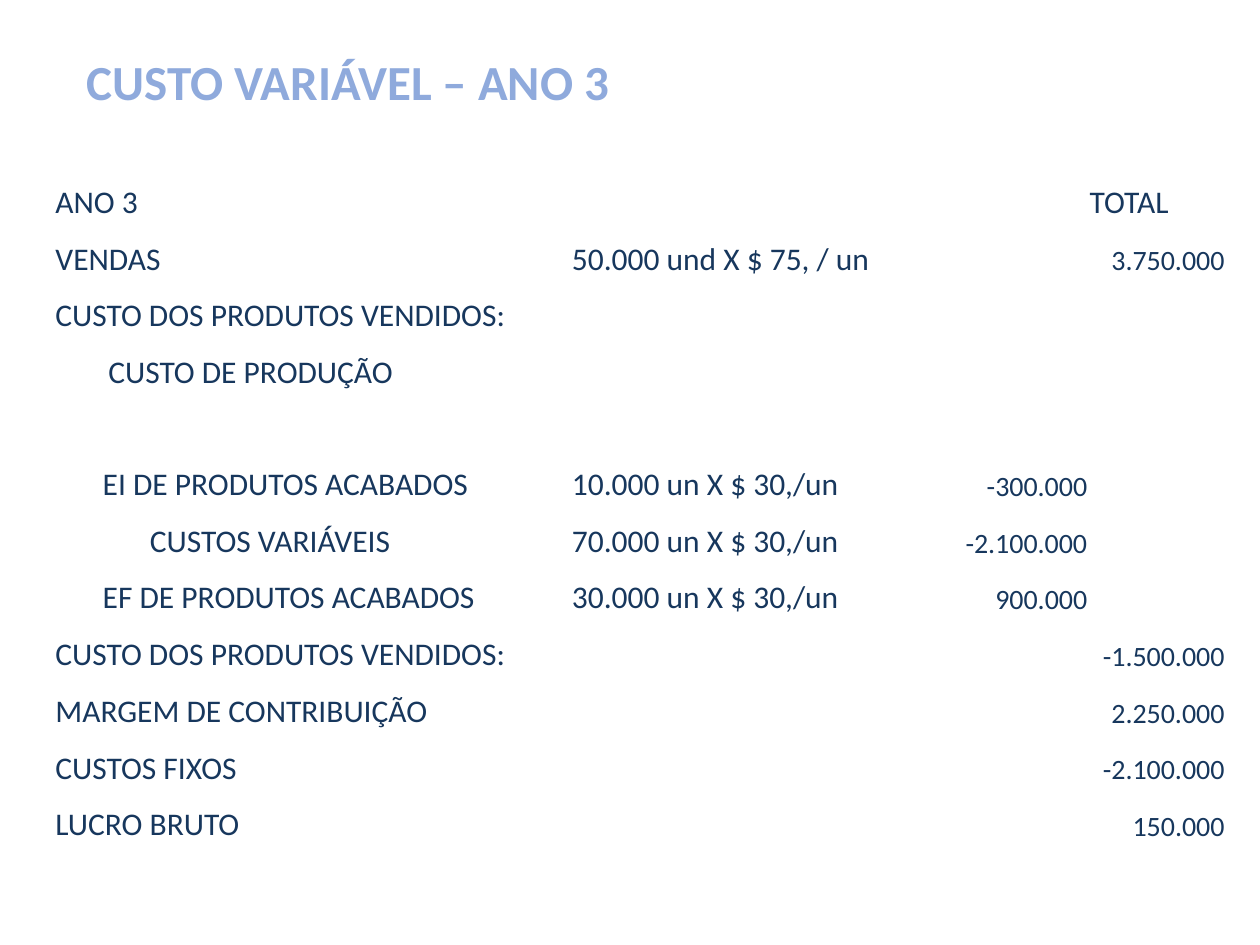
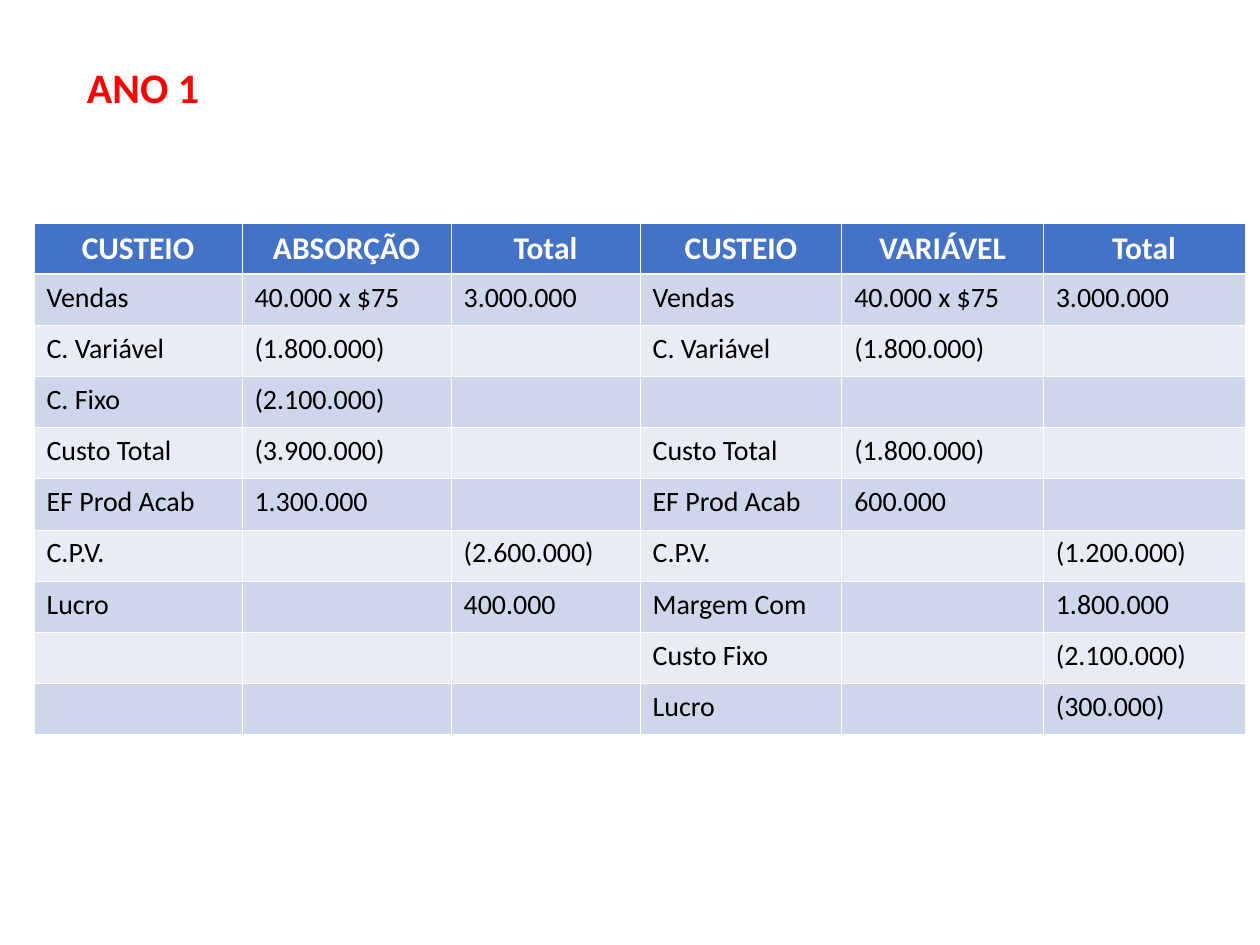
from lxml.etree import SubElement
from pptx import Presentation
from pptx.dml.color import RGBColor
from pptx.enum.text import MSO_ANCHOR as Anchor, MSO_AUTO_SIZE as Fit, PP_ALIGN as Align
from pptx.oxml.ns import qn
from pptx.util import Inches, Pt

FONT = "Calibri"
WHITE = RGBColor(0xFF, 0xFF, 0xFF)
BLACK = RGBColor(0x00, 0x00, 0x00)
NAVY = RGBColor(0x17, 0x37, 0x5D)
SKY = RGBColor(0x8F, 0xAA, 0xDC)
RED = RGBColor(0xFF, 0x00, 0x00)
BLUE = RGBColor(0x44, 0x72, 0xC4)
BANDS = RGBColor(0xCF, 0xD5, 0xEA), RGBColor(0xE9, 0xEB, 0xF5)
THIN, THICK = Pt(0.45), Pt(1.47)

# first and last label column, indent level, label, formula, partial, total
COST_COLS = 0.42, 0.47, 3.21, 2.99, 1.12, 1.09
COSTS = [
    (0, 1, 0, "ANO 3", "", "", "TOTAL"),
    (0, 1, 0, "VENDAS", "50.000 und X $ 75, / un", "", "3.750.000"),
    (0, 2, 0, "CUSTO DOS PRODUTOS VENDIDOS:", "", "", ""),
    (1, 2, 0, "CUSTO DE PRODUÇÃO", "", "", ""),
    (0, 2, 1, "EI DE PRODUTOS ACABADOS", "10.000 un X $ 30,/un", "-300.000", ""),
    (0, 2, 2, "CUSTOS VARIÁVEIS", "70.000 un X $ 30,/un", "-2.100.000", ""),
    (0, 2, 1, "EF DE PRODUTOS ACABADOS", "30.000 un X $ 30,/un", "900.000", ""),
    (0, 2, 0, "CUSTO DOS PRODUTOS VENDIDOS:", "", "", "-1.500.000"),
    (0, 2, 0, "MARGEM DE CONTRIBUIÇÃO", "", "", "2.250.000"),
    (0, 2, 0, "CUSTOS FIXOS", "", "", "-2.100.000"),
    (0, 2, 0, "LUCRO BRUTO", "", "", "150.000"),
]
COST_ROWS = [0.89 if row[3].startswith("EI ") else 0.45 for row in COSTS]

YEAR_COLS = 1.65, 1.66, 1.5, 1.6, 1.6, 1.6
YEAR = [
    ("CUSTEIO", "ABSORÇÃO", "Total", "CUSTEIO", "VARIÁVEL", "Total"),
    ("Vendas", "40.000 x $75", "3.000.000", "Vendas", "40.000 x $75", "3.000.000"),
    ("C. Variável", "(1.800.000)", "", "C. Variável", "(1.800.000)", ""),
    ("C. Fixo", "(2.100.000)", "", "", "", ""),
    ("Custo Total", "(3.900.000)", "", "Custo Total", "(1.800.000)", ""),
    ("EF Prod Acab", "1.300.000", "", "EF Prod Acab", "600.000", ""),
    ("C.P.V.", "", "(2.600.000)", "C.P.V.", "", "(1.200.000)"),
    ("Lucro", "", "400.000", "Margem Com", "", "1.800.000"),
    ("", "", "", "Custo Fixo", "", "(2.100.000)"),
    ("", "", "", "Lucro", "", "(300.000)"),
]


def put(frame, text, size=18, color=BLACK, bold=False, align=Align.LEFT, level=0):
    para = frame.paragraphs[0]
    para.alignment = align
    if level:
        para.level = level
        props = para._p.get_or_add_pPr()
        props.set("marL", str(Inches(0.375 * level)))
        props.set("indent", "0")
    if text:
        run = para.add_run()
        run.text = text
        font = run.font
        font.name, font.size, font.bold = FONT, Pt(size), bold
        font.color.rgb = color


def paint(cell, color):
    cell.fill.solid()
    cell.fill.fore_color.rgb = color


def edge(cell, **widths):
    """Draw white borders; widths are keyed by side: L, R, T, B."""
    props = cell._tc.get_or_add_tcPr()
    for spot, side in enumerate("LRTB"):
        line = SubElement(props, qn(f"a:ln{side}"), w=str(widths.get(side, THIN)))
        fill = SubElement(line, qn("a:solidFill"))
        SubElement(fill, qn("a:srgbClr"), val=str(WHITE))
        props.insert(spot, line)


def add_title(deck, text, box, size, color):
    """Add a title-only slide and set its title."""
    slide = deck.slides.add_slide(deck.slide_layouts[5])
    title = slide.shapes.title
    title.left, title.top, title.width, title.height = map(Inches, box)
    frame = title.text_frame
    frame.word_wrap = True
    frame.auto_size = Fit.NONE
    frame.vertical_anchor = Anchor.TOP
    put(frame, text, size=size, color=color, bold=True)
    return slide


def add_grid(slide, left, top, cols, rows):
    box = map(Inches, (left, top, sum(cols), sum(rows)))
    grid = slide.shapes.add_table(len(rows), len(cols), *box).table
    for col, width in zip(grid.columns, cols):
        col.width = Inches(width)
    for row, height in zip(grid.rows, rows):
        row.height = Inches(height)
    return grid


def fill_costs(slide, left, top):
    grid = add_grid(slide, left, top, COST_COLS, COST_ROWS)
    grid.first_row = grid.horz_banding = False
    for cell in grid.iter_cells():
        paint(cell, WHITE)
        edge(cell)
        cell.vertical_anchor = Anchor.BOTTOM
        cell.margin_left = cell.margin_right = Inches(0.01)
    for r, (first, last, level, label, *values) in enumerate(COSTS):
        head = grid.cell(r, first)
        head.merge(grid.cell(r, last))
        put(head.text_frame, label, color=NAVY, level=level)
        for c, value in enumerate(values, 3):
            number = r > 0 and c > 3
            put(grid.cell(r, c).text_frame, value, color=NAVY,
                size=16 if number else 18,
                align=Align.RIGHT if number else Align.LEFT)


def fill_year(slide, left, top, height):
    rows = [height / len(YEAR)] * len(YEAR)
    grid = add_grid(slide, left, top, YEAR_COLS, rows)
    for r, texts in enumerate(YEAR):
        for c, text in enumerate(texts):
            cell = grid.cell(r, c)
            if r == 0:
                paint(cell, BLUE)
                edge(cell, B=THICK)
                put(cell.text_frame, text, color=WHITE, bold=True, align=Align.CENTER)
            else:
                paint(cell, BANDS[(r - 1) % 2])
                edge(cell, T=THICK if r == 1 else THIN)
                put(cell.text_frame, text, size=16)


def main():
    deck = Presentation()
    deck.slide_width, deck.slide_height = Inches(10), Inches(7.5)
    slide = add_title(deck, "CUSTO VARIÁVEL – ANO 3", (0.59, 0.36, 6.3, 0.57), 28, SKY)
    fill_costs(slide, 0.43, 1.36)
    slide = add_title(deck, "ANO 1", (0.59, 0.44, 3.47, 0.5), 24, RED)
    fill_year(slide, 0.27, 1.77, 4.06)
    deck.save("out.pptx")


if __name__ == "__main__":
    main()
